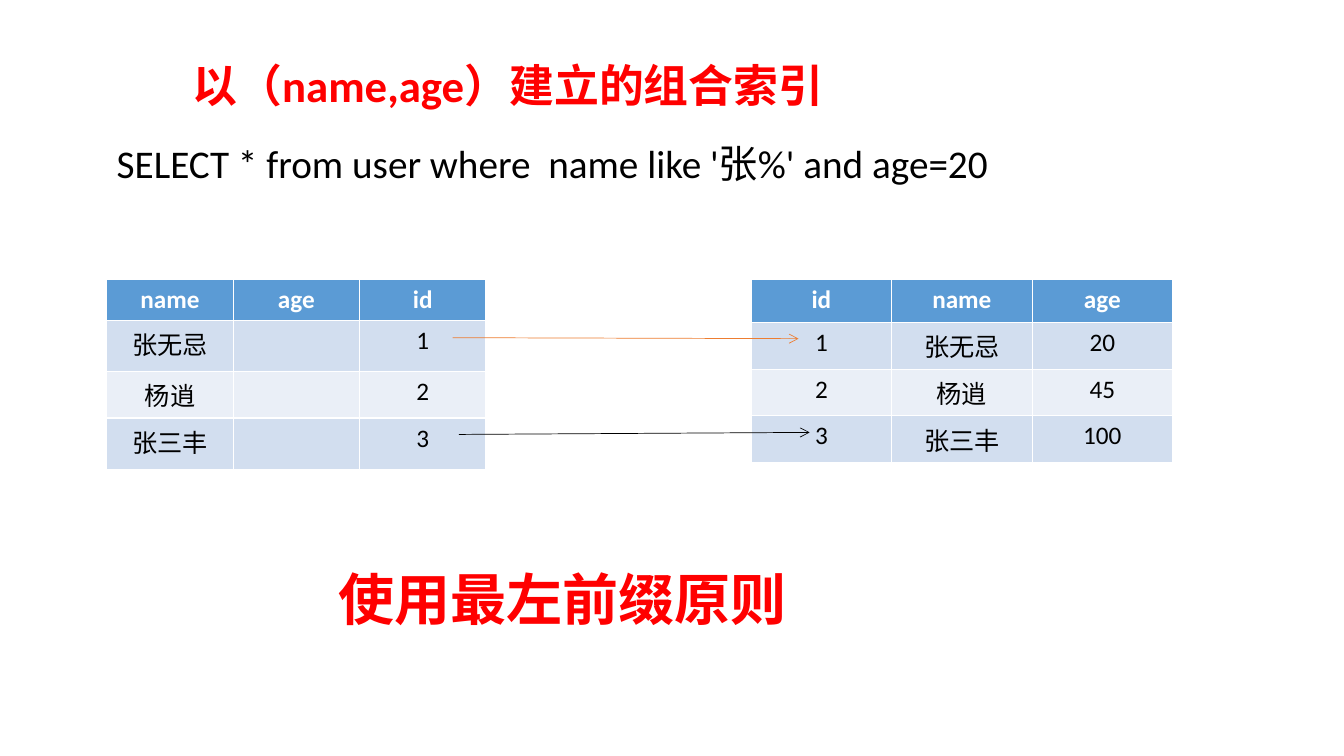
import pptx
import pptx.util
import pptx.dml.color
import pptx.enum.shapes
import pptx.enum.text
import pptx.oxml
import pptx.oxml.ns

Inches = pptx.util.Inches
RGBColor = pptx.dml.color.RGBColor

RED = RGBColor(0xFF, 0x00, 0x00)
BLACK = RGBColor(0x00, 0x00, 0x00)
WHITE = RGBColor(0xFF, 0xFF, 0xFF)
BLUE = RGBColor(0x5B, 0x9B, 0xD5)
ORANGE = RGBColor(0xED, 0x7D, 0x31)
BANDS = [RGBColor(0xEA, 0xEF, 0xF7), RGBColor(0xD2, 0xDE, 0xEF)]


def add_run(para, text, size, color, bold):
    run = para.add_run()
    run.text = text
    run.font.name = "Calibri"
    run.font.size = pptx.util.Pt(size)
    run.font.bold = bold
    run.font.color.rgb = color


deck = pptx.Presentation()
deck.slide_width = Inches(13.33)
deck.slide_height = Inches(7.5)
slide = deck.slides.add_slide(deck.slide_layouts[6])
shapes = slide.shapes

# Tables: the user rows on the right, the index on the left
users = [
    ["id", "name", "age"],
    ["1", "张无忌", "20"],
    ["2", "杨逍", "45"],
    ["3", "张三丰", "100"],
]
index = [
    ["name", "age", "id"],
    ["张无忌", "", "1"],
    ["杨逍", "", "2"],
    ["张三丰", "", "3"],
]
tables = [
    (users, 7.45, 4.18, [0.43, 0.43, 0.43, 0.43]),
    (index, 1.06, 3.76, [0.4, 0.51, 0.4, 0.51]),
]
for rows, left, width, heights in tables:
    frame = shapes.add_table(len(rows), len(rows[0]), Inches(left), Inches(2.77),
                             Inches(width), Inches(sum(heights)))
    table = frame.table
    for r, texts in enumerate(rows):
        table.rows[r].height = Inches(heights[r])
        head = r == 0
        for c, text in enumerate(texts):
            cell = table.cell(r, c)
            cell.fill.solid()
            cell.fill.fore_color.rgb = BLUE if head else BANDS[r % 2]
            if text:
                para = cell.text_frame.paragraphs[0]
                para.alignment = pptx.enum.text.PP_ALIGN.CENTER
                add_run(para, text, 18, WHITE if head else BLACK, head)

# Query, title and conclusion
labels = [
    ("SELECT * from user where  name like '张%' and age=20",
     1.06, 1.33, 10.06, 0.57, 28, BLACK, False),
    ("以（name,age）建立的组合索引", 1.81, 0.52, 7.49, 0.64, 32, RED, True),
    ("使用最左前缀原则", 3.26, 5.55, 7.53, 0.77, 40, RED, True),
]
for text, left, top, width, height, size, color, bold in labels:
    box = shapes.add_textbox(Inches(left), Inches(top), Inches(width), Inches(height))
    box.text_frame.word_wrap = True
    add_run(box.text_frame.paragraphs[0], text, size, color, bold)

# Arrows from index entries to matching rows
arrows = [
    (4.49, 3.35, 7.92, 3.36, ORANGE),
    (4.55, 4.31, 8.03, 4.29, BLACK),
]
for x1, y1, x2, y2, color in arrows:
    arrow = shapes.add_connector(pptx.enum.shapes.MSO_CONNECTOR.STRAIGHT,
                                 Inches(x1), Inches(y1), Inches(x2), Inches(y2))
    arrow.line.color.rgb = color
    arrow.line.width = pptx.util.Pt(0.5)
    tip = pptx.oxml.parse_xml(
        f'<a:tailEnd {pptx.oxml.ns.nsdecls("a")} type="arrow"/>')
    arrow.line._get_or_add_ln().append(tip)
    flat = pptx.oxml.parse_xml(f'<a:effectLst {pptx.oxml.ns.nsdecls("a")}/>')
    arrow._element.spPr.append(flat)

deck.save("out.pptx")
